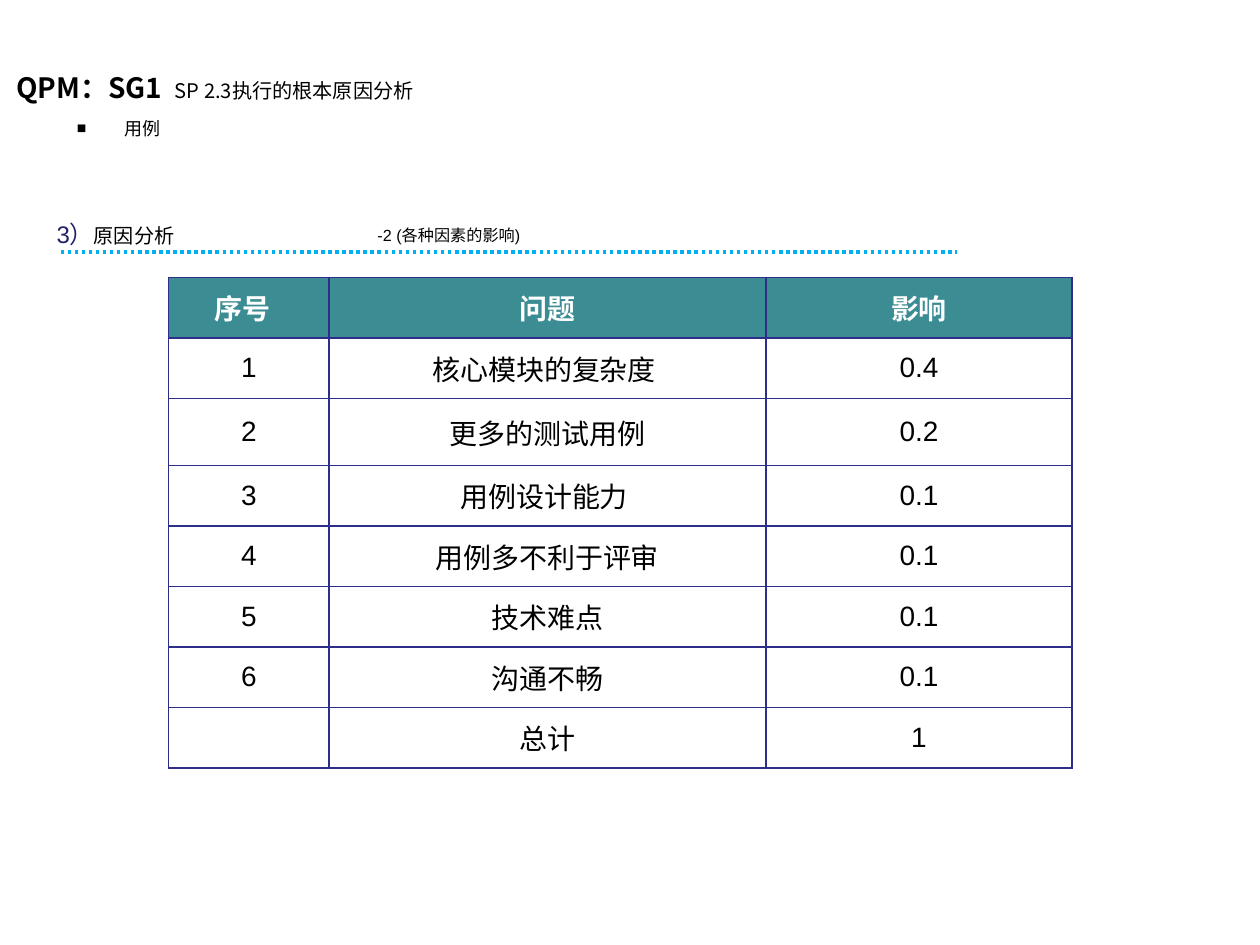
from dataclasses import dataclass

from lxml.etree import SubElement
from pptx import Presentation
from pptx.dml.color import RGBColor
from pptx.enum.dml import MSO_LINE
from pptx.enum.shapes import MSO_CONNECTOR as Connector
from pptx.enum.text import MSO_ANCHOR as Anchor, PP_ALIGN as Align
from pptx.oxml.ns import qn
from pptx.util import Cm, Pt

COLORS = {"black": "000000", "white": "FFFFFF", "navy": "222268",
          "dots": "00B0F0", "header": "3C8C93", "border": "2D2D8A"}
SANS, CJK = "Arial", "Noto Sans CJK SC"


@dataclass
class TextRun:
    text: str
    size: float
    font: str = SANS
    color: str = "black"
    bold: bool = False


@dataclass
class Label:
    left: float
    top: float
    width: float
    height: float
    runs: list[TextRun]
    anchor: Anchor = Anchor.TOP
    line_spacing: float = 1.0
    indent: float = 0
    bullet: str = ""


LABELS = [
    Label(1.3, 1.78, 23.42, 1.4, [TextRun("用例", 10.3)],
          Anchor.MIDDLE, 1.5, 0.96, "■"),
    Label(0.89, 4.3, 23.19, 1.27, [TextRun("3）", 13.7, color="navy"),
                                   TextRun("原因分析", 11.5)]),
    Label(7.36, 4.22, 17.53, 1.47, [TextRun("-2 (各种因素的影响)", 9.2)], line_spacing=1.5),
    Label(0.08, 1.18, 23.04, 1.27, [TextRun("QPM：SG1  ", 16, CJK, bold=True),
                                    TextRun("SP 2.3执行的根本原因分析", 11.5, CJK)],
          Anchor.MIDDLE, 0.85),
]

COLUMN_WIDTHS = [3.23, 8.81, 6.17]
ROW_HEIGHTS = [1.22, 1.22, 1.35] + [1.22] * 5
ROWS = [
    ("序号  ", "问题", "影响"),
    ("1", "核心模块的复杂度 ", "0.4"),
    ("2", "更多的测试用例", "0.2"),
    ("3", "用例设计能力 ", "0.1"),
    ("4", "用例多不利于评审", "0.1"),
    ("5", "技术难点", "0.1"),
    ("6", "沟通不畅", "0.1"),
    ("", "总计", "1"),
]


def color_of(name: str) -> RGBColor:
    return RGBColor.from_string(COLORS[name])


def add_run(paragraph, text_run: TextRun) -> None:
    run = paragraph.add_run()
    run.text = text_run.text
    font = run.font
    font.size, font.name, font.bold = Pt(text_run.size), text_run.font, text_run.bold
    font.color.rgb = color_of(text_run.color)
    SubElement(run._r.get_or_add_rPr(), qn("a:ea"), typeface=CJK)


def add_label(slide, label: Label) -> None:
    box = slide.shapes.add_textbox(Cm(label.left), Cm(label.top),
                                   Cm(label.width), Cm(label.height))
    frame = box.text_frame
    frame.word_wrap = True
    frame.vertical_anchor = label.anchor
    paragraph = frame.paragraphs[0]
    paragraph.line_spacing = label.line_spacing
    if label.bullet:
        properties = paragraph._p.get_or_add_pPr()
        properties.set("marL", str(Cm(label.indent)))
        properties.set("indent", str(-Cm(label.indent)))
        SubElement(properties, qn("a:buSzPct"), val="87000")
        SubElement(properties, qn("a:buFont"), typeface=SANS)
        SubElement(properties, qn("a:buChar"), char=label.bullet)
    for text_run in label.runs:
        add_run(paragraph, text_run)


def add_dotted_rule(slide) -> None:
    rule = slide.shapes.add_connector(Connector.STRAIGHT, Cm(1.22), Cm(5.08),
                                      Cm(19.3), Cm(5.08))
    rule.line.color.rgb = color_of("dots")
    rule.line.width = Pt(2)
    rule.line.dash_style = MSO_LINE.ROUND_DOT
    SubElement(rule._element.spPr, qn("a:effectLst"))


def set_borders(cell) -> None:
    properties = cell._tc.get_or_add_tcPr()
    for position, side in enumerate(("a:lnL", "a:lnR", "a:lnT", "a:lnB")):
        line = properties.makeelement(qn(side), {"w": str(Pt(1))})
        fill = SubElement(line, qn("a:solidFill"))
        SubElement(fill, qn("a:srgbClr"), val=COLORS["border"])
        properties.insert(position, line)


def fill_cell(cell, text: str, is_header: bool) -> None:
    cell.margin_left = cell.margin_right = cell.margin_top = cell.margin_bottom = 0
    cell.vertical_anchor = Anchor.MIDDLE
    if is_header:
        cell.fill.solid()
        cell.fill.fore_color.rgb = color_of("header")
    else:
        cell.fill.background()
    set_borders(cell)
    paragraph = cell.text_frame.paragraphs[0]
    paragraph.alignment = Align.CENTER
    if text:
        color = "white" if is_header else "black"
        add_run(paragraph, TextRun(text, 16, color=color, bold=is_header))


def add_impact_table(slide) -> None:
    table = slide.shapes.add_table(len(ROWS), len(COLUMN_WIDTHS), Cm(3.4), Cm(5.59),
                                   Cm(sum(COLUMN_WIDTHS)), Cm(sum(ROW_HEIGHTS))).table
    table.horz_banding = False
    for column, width in zip(table.columns, COLUMN_WIDTHS):
        column.width = Cm(width)
    for row, height in zip(table.rows, ROW_HEIGHTS):
        row.height = Cm(height)
    for row_index, texts in enumerate(ROWS):
        for column_index, text in enumerate(texts):
            fill_cell(table.cell(row_index, column_index), text, row_index == 0)


def main() -> None:
    presentation = Presentation()
    presentation.slide_width, presentation.slide_height = Cm(25.4), Cm(19.05)
    slide = presentation.slides.add_slide(presentation.slide_layouts[6])
    # Heading, use case and section labels
    for label in LABELS:
        add_label(slide, label)
    # Rule under the section label
    add_dotted_rule(slide)
    # Impact of each cause
    add_impact_table(slide)
    presentation.save("out.pptx")


if __name__ == "__main__":
    main()
